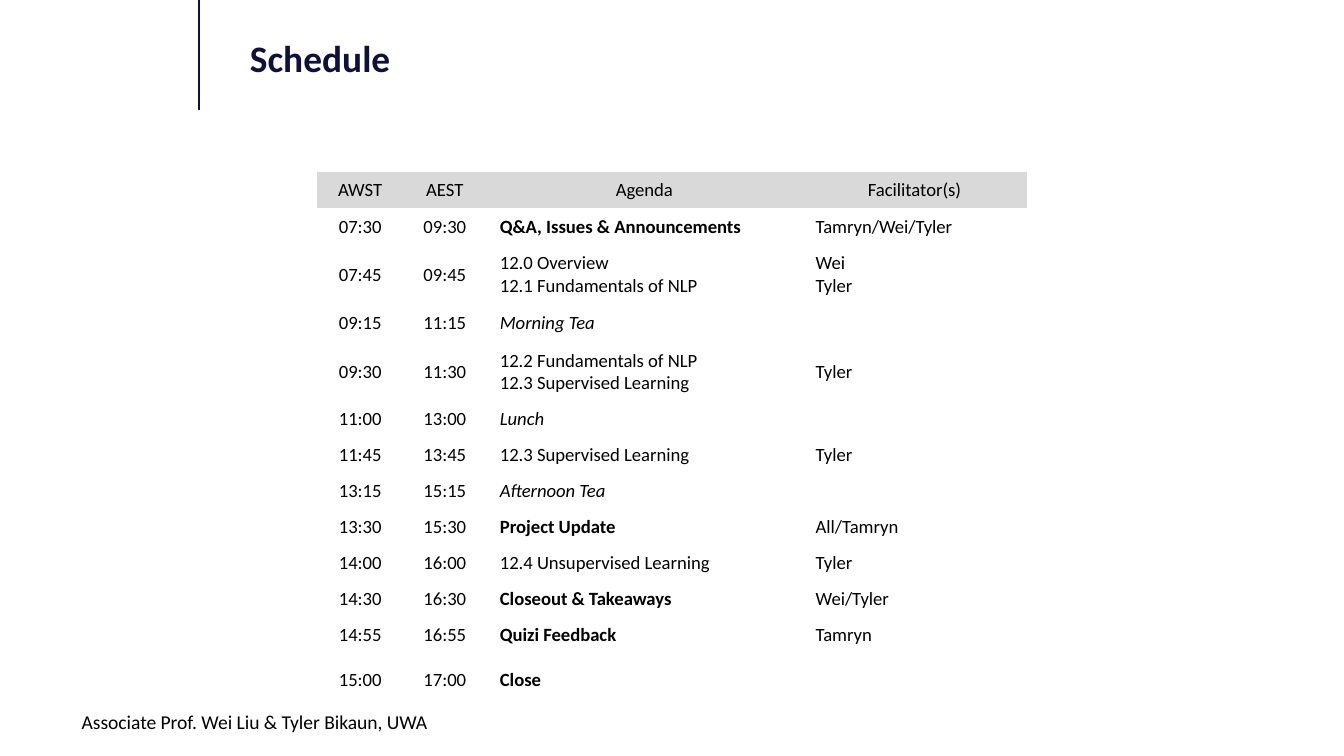
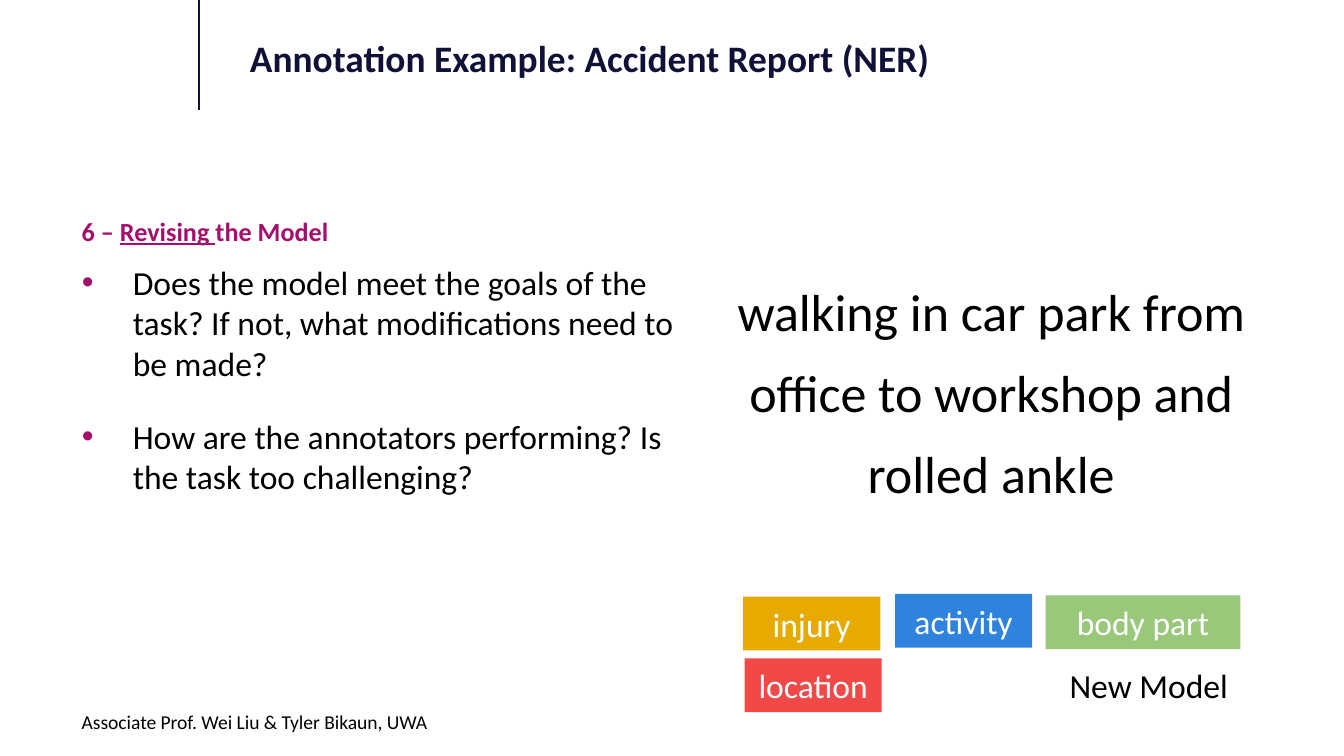
import pptx
import pptx.util
import pptx.dml.color
import pptx.enum.text
import pptx.enum.shapes
import pptx.oxml.ns
from lxml import etree

Inches = pptx.util.Inches
Pt = pptx.util.Pt
RGB = pptx.dml.color.RGBColor
ALIGN = pptx.enum.text.PP_ALIGN
ANCHOR = pptx.enum.text.MSO_ANCHOR
qn = pptx.oxml.ns.qn

FONT = "Calibri"
NAVY = RGB(0x0F, 0x11, 0x37)
PLUM = RGB(0xA4, 0x0F, 0x6C)
BLACK = RGB(0, 0, 0)
WHITE = RGB(0xFF, 0xFF, 0xFF)
GREY = RGB(0xD9, 0xD9, 0xD9)
GOLD = RGB(0xE6, 0xAA, 0x00)
BLUE = RGB(0x30, 0x83, 0xDC)
GREEN = RGB(0x9A, 0xC8, 0x7A)
RED = RGB(0xF1, 0x48, 0x48)
NO_GRID = "{2D5ABB26-0587-4C30-8999-92F81FD0307C}"

FOOTER = "Associate Prof. Wei Liu & Tyler Bikaun, UWA"
COLS = [0.64, 0.62, 2.35, 1.67]
AGENDA = [
    ("AWST", "AEST", "Agenda", "Facilitator(s)", "", 0.24),
    ("07:30", "09:30", "Q&A, Issues & Announcements", "Tamryn/Wei/Tyler", "bold", 0.28),
    ("07:45", "09:45", "12.0 Overview\n12.1 Fundamentals of NLP", "Wei\vTyler", "", 0.27),
    ("09:15", "11:15", "Morning Tea", "", "italic", 0.29),
    ("09:30", "11:30", "12.2 Fundamentals of NLP\n12.3 Supervised Learning", "Tyler", "", 0.22),
    ("11:00", "13:00", "Lunch", "", "italic", 0.24),
    ("11:45", "13:45", "12.3 Supervised Learning", "Tyler", "", 0.23),
    ("13:15", "15:15", "Afternoon Tea", "", "italic", 0.22),
    ("13:30", "15:30", "Project Update", "All/Tamryn", "bold", 0.21),
    ("14:00", "16:00", "12.4 Unsupervised Learning", "Tyler", "", 0.23),
    ("14:30", "16:30", "Closeout & Takeaways", "Wei/Tyler", "bold", 0.23),
    ("14:55", "16:55", "Quizi Feedback", "Tamryn", "bold", 0.22),
    ("15:00", "17:00", "Close", "", "bold", 0.41),
]
POINTS = [
    "Does the model meet the goals of the task? If not, what modifications need to be made?",
    "How are the annotators performing? Is the task too challenging?",
]
QUOTE = "walking in car park from office to workshop and rolled ankle"
TAGS = [
    ("injury", GOLD, 0, 0.02, 1.02),
    ("activity", BLUE, 1.13, 0, 1.02),
    ("body part", GREEN, 2.25, 0.01, 1.45),
    ("location", RED, 0.01, 0.48, 1.02),
]


def style(para, size, color=BLACK, bold=False, align=ALIGN.LEFT):
    para.alignment = align
    font = para.font
    font.name, font.size, font.bold = FONT, Pt(size), bold
    font.color.rgb = color


def place(shape, box):
    shape.left, shape.top, shape.width, shape.height = map(Inches, box)


def add_text(slide, box, wrap=True):
    frame = slide.shapes.add_textbox(*map(Inches, box)).text_frame
    frame.word_wrap = wrap
    return frame


def add_label(slide, box, text, size, wrap=True):
    para = add_text(slide, box, wrap).paragraphs[0]
    para.text = text
    style(para, size)


def add_base(deck, name):
    slide = deck.slides.add_slide(deck.slide_layouts[5])
    rule = slide.shapes.add_connector(
        pptx.enum.shapes.MSO_CONNECTOR.STRAIGHT,
        Inches(1.48), Inches(0.82), Inches(1.48), 0)
    rule.line.color.rgb = NAVY
    rule.line.width = Pt(1.25)
    etree.SubElement(rule._element.spPr, qn("a:effectLst"))
    title = slide.shapes.title
    place(title, (1.76, 0.21, 7.6, 0.49))
    frame = title.text_frame
    frame.text = name
    frame.vertical_anchor = ANCHOR.TOP
    frame.auto_size = pptx.enum.text.MSO_AUTO_SIZE.NONE
    style(frame.paragraphs[0], 20, NAVY, True)
    add_label(slide, (0.51, 5.23, 7.6, 0.24), FOOTER, 10.5)
    return slide


def fill_cell(cell, text, head, align, look=""):
    cell.text = text
    cell.vertical_anchor = ANCHOR.TOP if head else ANCHOR.MIDDLE
    if head:
        cell.fill.solid()
        cell.fill.fore_color.rgb = GREY
    else:
        cell.fill.background()
    for para in cell.text_frame.paragraphs:
        style(para, 10, bold=look == "bold", align=align)
        para.font.italic = look == "italic"
        if not text:
            etree.SubElement(para._p, qn("a:endParaRPr"), sz="1000")


def add_agenda(slide, left, top):
    high = sum(row[-1] for row in AGENDA)
    table = slide.shapes.add_table(
        len(AGENDA), len(COLS), Inches(left), Inches(top),
        Inches(sum(COLS)), Inches(high)).table
    table.first_row = table.horz_banding = False
    table._tbl.tblPr.find(qn("a:tableStyleId")).text = NO_GRID
    for col, width in zip(table.columns, COLS):
        col.width = Inches(width)
    for r, (*texts, look, height) in enumerate(AGENDA):
        table.rows[r].height = Inches(height)
        for c, text in enumerate(texts):
            align = ALIGN.CENTER if r == 0 or c < 2 else ALIGN.LEFT
            fill_cell(table.cell(r, c), text, r == 0, align, look if c == 2 else "")


def add_bullet(para):
    props = para._p.get_or_add_pPr()
    props.set("marL", str(Inches(0.38)))
    props.set("indent", str(-Inches(0.38)))
    color = etree.SubElement(props, qn("a:buClr"))
    etree.SubElement(color, qn("a:srgbClr"), val=str(PLUM))
    etree.SubElement(props, qn("a:buFont"), typeface="Arial")
    etree.SubElement(props, qn("a:buChar"), char="•")


def add_notes(slide, left, top):
    para = add_text(slide, (left, top, 7.6, 0.37)).paragraphs[0]
    for text, under in (("6 – ", False), ("Revising ", True), ("the Model", False)):
        run = para.add_run()
        run.text = text
        run.font.underline = under
    style(para, 14, PLUM, True)
    frame = add_text(slide, (left, top + 0.35, 4.65, 3.33))
    for i, text in enumerate(POINTS):
        para = frame.add_paragraph() if i else frame.paragraphs[0]
        para.text = text
        if i:
            para.space_before = Pt(17.5)
        add_bullet(para)
        style(para, 18)


def add_quote(slide, box):
    frame = add_text(slide, box)
    frame.margin_left = frame.margin_right = Inches(0.07)
    frame.margin_top = frame.margin_bottom = Inches(0.04)
    para = frame.paragraphs[0]
    para.text = QUOTE
    para.line_spacing = 1.3
    style(para, 27.9, align=ALIGN.CENTER)


def add_tags(slide, left, top):
    for text, color, dx, dy, width in TAGS:
        box = (left + dx, top + dy, width, 0.4)
        tag = slide.shapes.add_shape(
            pptx.enum.shapes.MSO_SHAPE.RECTANGLE, *map(Inches, box))
        tag.shadow.inherit = False
        tag.fill.solid()
        tag.fill.fore_color.rgb = color
        tag.line.fill.background()
        frame = tag.text_frame
        frame.text = text
        frame.vertical_anchor = ANCHOR.MIDDLE
        style(frame.paragraphs[0], 18, WHITE, align=ALIGN.CENTER)
    add_label(slide, (left + 2.33, top + 0.48, 1.39, 0.4), "New Model", 18, False)


def main():
    deck = pptx.Presentation()
    deck.slide_width = Inches(10)
    deck.slide_height = Inches(10 * 9 / 16)
    add_agenda(add_base(deck, "Schedule"), 2.36, 1.28)
    slide = add_base(deck, "Annotation Example: Accident Report (NER)")
    add_notes(slide, 0.51, 1.55)
    add_quote(slide, (5.15, 1.9, 4.45, 2))
    add_tags(slide, 5.53, 4.42)
    deck.save("out.pptx")


if __name__ == "__main__":
    main()
